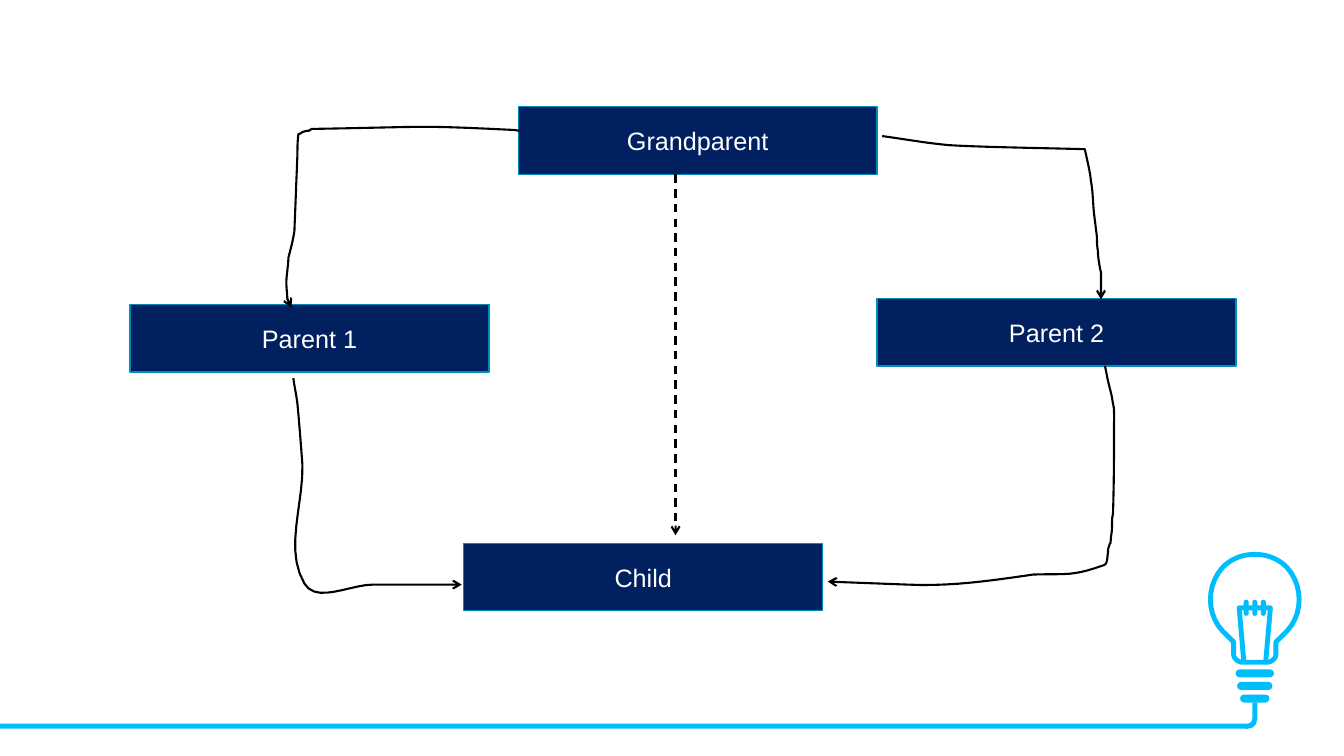
from collections import namedtuple

from lxml.etree import SubElement
from pptx import Presentation
from pptx.dml.color import RGBColor
from pptx.enum.dml import MSO_LINE_DASH_STYLE as Dash
from pptx.enum.shapes import MSO_CONNECTOR as Connector, MSO_SHAPE as Shape
from pptx.enum.text import MSO_ANCHOR as Anchor, PP_ALIGN as Align
from pptx.oxml.ns import qn
from pptx.util import Inches, Pt

NAVY = RGBColor(0x00, 0x20, 0x60)
TEAL = RGBColor(0x00, 0x8C, 0xBA)
SKY = RGBColor(0x00, 0xBD, 0xFB)
WHITE = RGBColor(0xFF, 0xFF, 0xFF)
BLACK = RGBColor(0x00, 0x00, 0x00)

Box = namedtuple("Box", "left top width height")
SLIDE = Box(0, 0, 13.33, 7.5)
BULB = Box(11.96, 5.5, 0.97, 1.73)

# Positions are columns and rows of a fine grid, 100 cells to the inch
CELL = 0.01
NODE_SIZE = (356, 67)
NODES = {
    "Parent 2": (870, 296),
    "Grandparent": (514, 106),
    "Parent 1": (129, 302),
    "Child": (460, 539),
}

# Each route is a start point, then line ends (2 numbers) or Bézier steps (6)
ROUTES = [
    # Grandparent to Parent 1
    [(516, 130), (514, 130, 512, 129, 510, 129), (407, 124, 430, 126, 309, 128),
     (303, 132, 310, 128, 300, 131), (299, 132, 297, 133, 296, 133),
     (295, 140, 295, 147, 295, 153), (294, 178, 293, 204, 292, 229),
     (291, 237, 288, 248, 286, 256), (286, 263, 284, 274, 284, 280),
     (284, 286, 285, 292, 285, 298), (286, 299, 287, 301, 288, 302),
     (288, 303, 288, 304, 289, 305)],
    # Grandparent to Parent 2
    [(875, 135), (897, 138, 919, 142, 941, 144), (974, 146, 1039, 147, 1076, 148),
     (1078, 158, 1081, 169, 1082, 179), (1084, 190, 1084, 201, 1085, 211),
     (1086, 219, 1087, 227, 1088, 235), (1088, 240, 1088, 244, 1089, 249),
     (1089, 255, 1090, 260, 1091, 266), (1091, 267, 1092, 269, 1092, 271),
     (1092, 297)],
    # Parent 1 to Child
    [(291, 375), (292, 383, 294, 392, 295, 400), (297, 420, 300, 461, 300, 461),
     (301, 501, 282, 545, 302, 579), (314, 599, 347, 580, 370, 580), (458, 580)],
    # Parent 2 to Child
    [(1096, 363), (1097, 368, 1098, 373, 1099, 378),
     (1102, 391, 1102, 388, 1104, 401), (1105, 404, 1105, 408, 1105, 411),
     (1105, 443, 1105, 475, 1104, 508), (1104, 511, 1103, 513, 1103, 516),
     (1103, 522, 1103, 527, 1102, 532), (1101, 545, 1102, 534, 1100, 542),
     (1099, 544, 1099, 546, 1099, 548), (1098, 553, 1099, 560, 1094, 561),
     (1063, 572, 1058, 569, 1025, 570), (983, 576, 944, 582, 900, 580),
     (821, 577)],
]


def place(box, column, row):
    return Inches(box.left + column * CELL), Inches(box.top + row * CELL)


def trace(route, steps=10):
    """Turn a route into the points of a fine polyline."""
    points = [route[0]]
    for part in route[1:]:
        if len(part) == 2:
            points.append(part)
            continue
        start, xs, ys = points[-1], part[0::2], part[1::2]
        for t in (step / steps for step in range(1, steps + 1)):
            weights = ((1 - t) ** 3, 3 * t * (1 - t) ** 2, 3 * t * t * (1 - t), t ** 3)
            points.append(tuple(sum(w * v for w, v in zip(weights, (first, *rest)))
                                for first, rest in zip(start, (xs, ys))))
    return points


def style(shape, fill=None, line=None, width=1):
    shape.shadow.inherit = False
    if fill is None:
        shape.fill.background()
    else:
        shape.fill.solid()
        shape.fill.fore_color.rgb = fill
    if line is None:
        shape.line.fill.background()
    else:
        shape.line.color.rgb = line
        shape.line.width = Pt(width)
    return shape


def add_outline(slide, box, points, closed=False, **look):
    corners = [place(box, *point) for point in points]
    builder = slide.shapes.build_freeform(*corners[0], scale=1.0)
    builder.add_line_segments(corners[1:], close=closed)
    return style(builder.convert_to_shape(), **look)


def add_block(slide, box, kind, column, row, columns, rows, **look):
    size = Inches(columns * CELL), Inches(rows * CELL)
    return style(slide.shapes.add_shape(kind, *place(box, column, row), *size), **look)


def write(shape, text, font="Arial", size=18, color=WHITE, align=Align.CENTER):
    frame = shape.text_frame
    frame.word_wrap = True
    frame.vertical_anchor = Anchor.MIDDLE
    paragraph = frame.paragraphs[0]
    paragraph.alignment = align
    run = paragraph.add_run()
    run.text = text
    run.font.name, run.font.size = font, Pt(size)
    run.font.color.rgb = color


def add_arrowhead(line):
    SubElement(line.line._get_or_add_ln(), qn("a:tailEnd"), type="arrow")


def draw_bulb(slide, box):
    middle = box.width / CELL / 2

    # Glass: the right half, mirrored
    half = trace([(0, 0), (12, 0, 23, 4, 32, 13), (48, 31, 48, 59, 32, 76),
                  (21, 87), (21, 99), (21, 103, 17, 107, 12, 107)])
    glass = ([(middle + x, y) for x, y in half]
             + [(middle - x, y) for x, y in reversed(half[1:])])
    add_outline(slide, box, glass, closed=True, fill=WHITE, line=SKY, width=3.5)

    # Screw base
    for index, width in enumerate((38, 35, 29)):
        bar = add_block(slide, box, Shape.ROUNDED_RECTANGLE, middle - width / 2,
                        114 + 12.5 * index, width, 8, fill=SKY)
        bar.adjustments[0] = 0.5

    # Filament and its coils
    stems = [(middle + x, y) for x, y in ((-11, 105), (-15.5, 53), (15.5, 53), (11, 105))]
    add_outline(slide, box, stems, line=SKY, width=3.5)
    for offset in (-8.5, 0, 8.5):
        coil = add_block(slide, box, Shape.ROUNDED_RECTANGLE,
                         middle + offset - 2.5, 45, 5, 16, fill=SKY)
        coil.adjustments[0] = 0.5


def draw_cable(slide, box):
    add_block(slide, box, Shape.RECTANGLE, 0, 718, 1237, 5, fill=SKY)
    add_block(slide, box, Shape.RECTANGLE, 1242, 697, 5, 17, fill=SKY)
    bend = add_block(slide, box, Shape.BLOCK_ARC, 1228, 704, 19, 19, fill=SKY)
    for index, value in enumerate((213.39, 60.92, 0.27)):
        bend.adjustments[index] = value


def draw_family(slide, box):
    # Classes
    for name, corner in NODES.items():
        node = add_block(slide, box, Shape.RECTANGLE, *corner, *NODE_SIZE,
                         fill=NAVY, line=TEAL)
        write(node, name)

    # Direct inheritance
    for route in ROUTES:
        add_arrowhead(add_outline(slide, box, trace(route), line=BLACK, width=1.5))

    # Indirect inheritance
    indirect = slide.shapes.add_connector(
        Connector.STRAIGHT, *place(box, 670, 173), *place(box, 670, 531))
    indirect.line.color.rgb = BLACK
    indirect.line.width = Pt(1.5)
    indirect.line.dash_style = Dash.DASH
    add_arrowhead(indirect)
    SubElement(indirect._element.spPr, qn("a:effectLst"))


def main():
    deck = Presentation()
    deck.slide_width, deck.slide_height = Inches(SLIDE.width), Inches(SLIDE.height)
    slide = deck.slides.add_slide(deck.slide_layouts[6])
    draw_bulb(slide, BULB)
    draw_cable(slide, SLIDE)
    draw_family(slide, SLIDE)
    deck.save("out.pptx")


if __name__ == "__main__":
    main()
